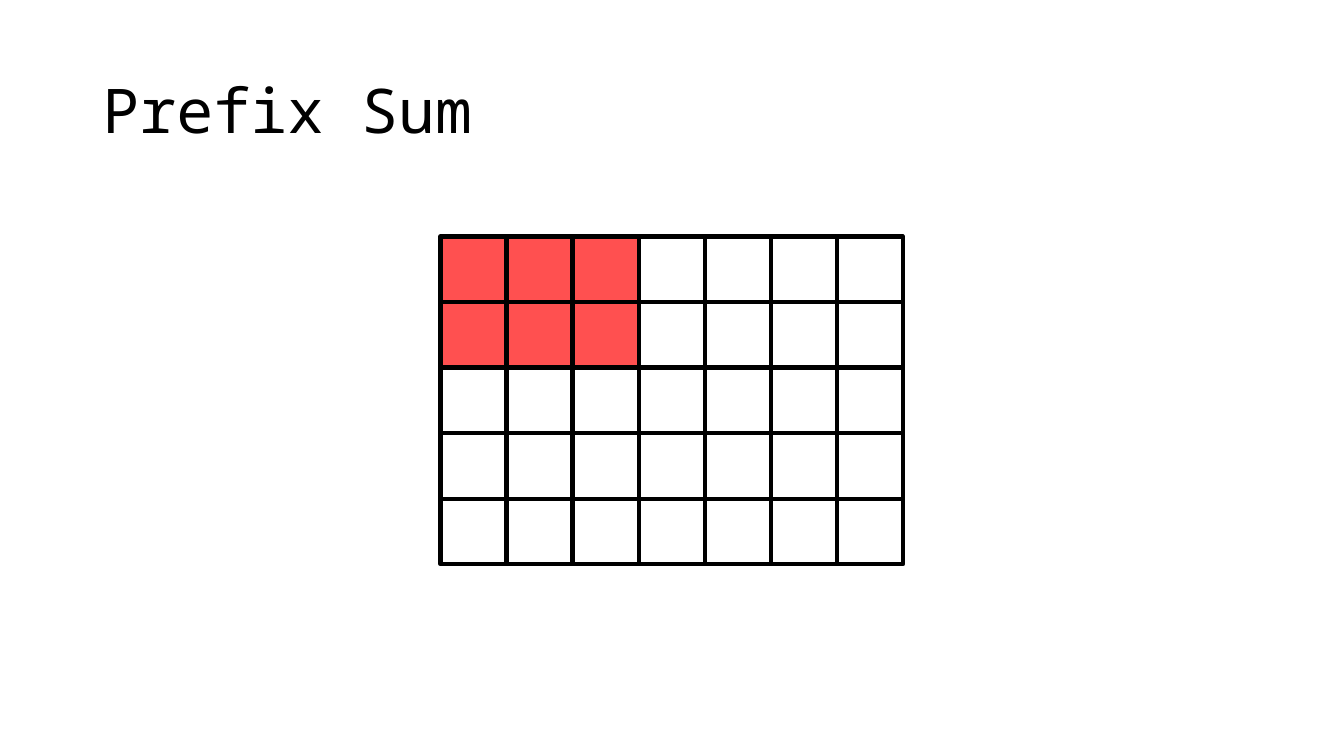
from dataclasses import dataclass
from itertools import product

from pptx import Presentation
from pptx.dml.color import RGBColor
from pptx.enum.shapes import MSO_SHAPE as Preset
from pptx.enum.text import MSO_ANCHOR as Anchor, MSO_AUTO_SIZE as AutoSize, PP_ALIGN as Align
from pptx.util import Pt


@dataclass(frozen=True)
class Theme:
    """Colours, font and sizes used on the slide."""
    ink: RGBColor = RGBColor(0x00, 0x00, 0x00)
    highlight: RGBColor = RGBColor(0xFF, 0x50, 0x50)
    font: str = "Noto Sans Mono"
    heading_size: int = 44
    border: int = 3


@dataclass(frozen=True)
class Box:
    """A rectangle in points."""
    left: float
    top: float
    width: float
    height: float

    def lengths(self):
        """Return left, top, width and height as slide lengths."""
        return Pt(self.left), Pt(self.top), Pt(self.width), Pt(self.height)


THEME = Theme()
ROWS, COLUMNS = 5, 7
PREFIX_ROWS, PREFIX_COLUMNS = 2, 3


def add_heading(slide, box, wording):
    """Place the slide title in the given box."""
    heading = slide.shapes.title
    heading.left, heading.top, heading.width, heading.height = box.lengths()
    frame = heading.text_frame
    frame.word_wrap = True
    frame.auto_size = AutoSize.NONE
    frame.vertical_anchor = Anchor.MIDDLE
    line = frame.paragraphs[0]
    line.alignment = Align.LEFT
    line.line_spacing = 0.9
    run = line.add_run()
    run.text = wording
    run.font.name = THEME.font
    run.font.size = Pt(THEME.heading_size)
    run.font.color.rgb = THEME.ink


def add_rectangle(shapes, box):
    """Add a plain rectangle without shadow."""
    rectangle = shapes.add_shape(Preset.RECTANGLE, *box.lengths())
    rectangle.shadow.inherit = False
    return rectangle


def add_matrix(slide, box):
    """Draw the matrix with its prefix region highlighted."""
    cell_width, cell_height = box.width / COLUMNS, box.height / ROWS
    prefix = add_rectangle(slide.shapes, Box(
        box.left, box.top, PREFIX_COLUMNS * cell_width, PREFIX_ROWS * cell_height))
    prefix.fill.solid()
    prefix.fill.fore_color.rgb = THEME.highlight
    prefix.line.fill.background()

    cells = slide.shapes.add_group_shape().shapes
    for row, column in product(range(ROWS), range(COLUMNS)):
        cell = add_rectangle(cells, Box(
            box.left + column * cell_width, box.top + row * cell_height,
            cell_width, cell_height))
        cell.fill.background()
        cell.line.color.rgb = THEME.ink
        cell.line.width = Pt(THEME.border)


def main():
    """Build and save the prefix sum slide."""
    deck = Presentation()
    deck.slide_width, deck.slide_height = Pt(960), Pt(540)
    slide = deck.slides.add_slide(deck.slide_layouts[5])
    add_heading(slide, Box(66, 28.75, 828, 104.4), "Prefix Sum")
    add_matrix(slide, Box(314.6, 169, 330.4, 234))
    deck.save("out.pptx")


if __name__ == "__main__":
    main()
